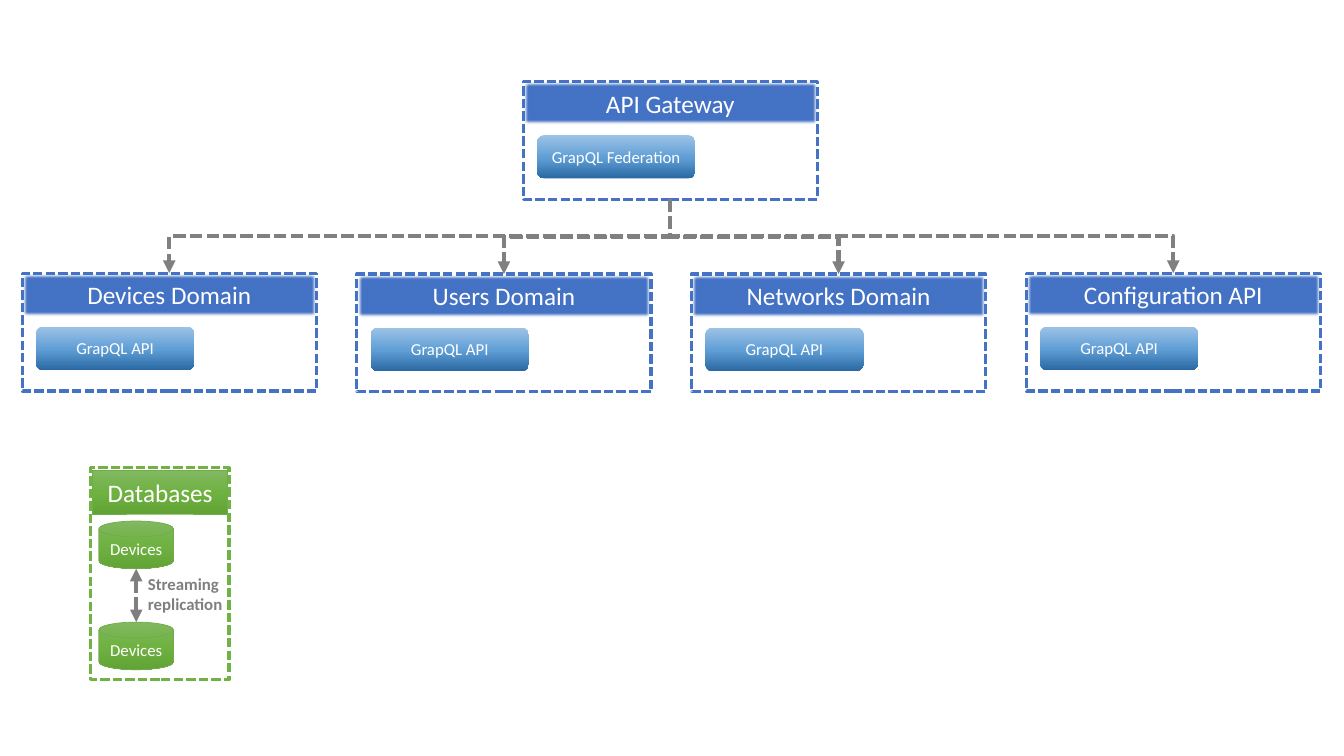
from copy import deepcopy

from lxml.etree import SubElement
from pptx import Presentation
from pptx.dml.color import RGBColor
from pptx.enum.dml import MSO_LINE
from pptx.enum.shapes import MSO_CONNECTOR, MSO_SHAPE
from pptx.enum.text import MSO_ANCHOR, PP_ALIGN
from pptx.oxml.ns import qn
from pptx.util import Pt

FONT = "Calibri"
WHITE = RGBColor(0xFF, 0xFF, 0xFF)
BLUE = RGBColor(0x44, 0x72, 0xC4)
DARK_BLUE = RGBColor(0x32, 0x54, 0x91)
GREEN = RGBColor(0x70, 0xB2, 0x43)
GREEN_EDGE = RGBColor(0x70, 0xAD, 0x47)
GREY = RGBColor(0x80, 0x80, 0x80)
TEXT_GREY = RGBColor(0x7F, 0x7F, 0x7F)
BLUE_FADE = [(0, RGBColor(0x9D, 0xC3, 0xE6)), (0.52, RGBColor(0x60, 0x9E, 0xD6)),
             (1, RGBColor(0x2A, 0x69, 0xA2))]
GREEN_FADE = [(0, RGBColor(0x81, 0xB8, 0x61)), (0.5, RGBColor(0x6F, 0xB2, 0x42)),
              (1, RGBColor(0x62, 0xA3, 0x36))]

SERVICE_W, SERVICE_H = 210.2, 84.2
GATEWAY_LEFT, GATEWAY_TOP = 373.7, 58.3
DOMAIN_LEFT, DOMAIN_STEP = 15.8, 239.05
DOMAINS = [("Devices Domain", 195.1), ("Users Domain", 195.8),
           ("Networks Domain", 195.8), ("Configuration API", 195.1)]


def add_block(slide, kind, x, y, w, h, fill=None, edge=None, edge_width=1):
    """Add a preset shape with a plain, faded or empty fill."""
    sp = slide.shapes.add_shape(kind, Pt(x), Pt(y), Pt(w), Pt(h))
    sp.shadow.inherit = False
    if fill is None:
        sp.fill.background()
    elif isinstance(fill, RGBColor):
        sp.fill.solid()
        sp.fill.fore_color.rgb = fill
    else:
        sp.fill.gradient()
        sp.fill.gradient_angle = 270
        stops = sp.element.spPr.find(".//" + qn("a:gsLst"))
        stops.append(deepcopy(stops[0]))
        for stop, (position, color) in zip(sp.fill.gradient_stops, fill):
            stop.position = position
            stop.color.rgb = color
    if edge is None:
        sp.line.fill.background()
    else:
        sp.line.color.rgb = edge
        sp.line.width = Pt(edge_width)
    return sp


def add_frame(slide, x, y, w, h, color):
    """Add a dashed, unfilled frame."""
    sp = add_block(slide, MSO_SHAPE.RECTANGLE, x, y, w, h, None, color, 2.25)
    sp.line.dash_style = MSO_LINE.SQUARE_DOT


def set_label(sp, text, size):
    """Centre a white label in a shape."""
    tf = sp.text_frame
    tf.word_wrap = True
    tf.vertical_anchor = MSO_ANCHOR.MIDDLE
    p = tf.paragraphs[0]
    p.text = text
    p.alignment = PP_ALIGN.CENTER
    p.font.name, p.font.size, p.font.color.rgb = FONT, Pt(size), WHITE


def add_arrow(slide, kind, x1, y1, x2, y2, color, ends):
    """Add a dashed grey connector with arrowheads at the named ends."""
    cxn = slide.shapes.add_connector(kind, Pt(x1), Pt(y1), Pt(x2), Pt(y2))
    cxn.line.color.rgb = color
    cxn.line.width = Pt(3)
    cxn.line.dash_style = MSO_LINE.SQUARE_DOT
    spPr = cxn.element.spPr
    for end in ends:
        SubElement(spPr.find(qn("a:ln")), qn(end), type="triangle")
    SubElement(spPr, qn("a:effectLst"))
    return cxn


def add_branch(slide, x1, y1, x2, y2):
    """Add an elbow arrow that leaves downwards and arrives downwards."""
    cx, cy = (x1 + x2) / 2, (y1 + y2) / 2
    side = 1 if x2 > x1 else -1
    half_w, half_h = side * (y2 - y1) / 2, abs(x2 - x1) / 2
    cxn = add_arrow(slide, MSO_CONNECTOR.ELBOW, cx + half_w, cy - half_h,
                    cx - half_w, cy + half_h, GREY, ["a:tailEnd"])
    degrees = 270 if side > 0 else 90
    cxn.element.spPr.find(qn("a:xfrm")).set("rot", str(degrees * 60000))


def add_service(slide, x, y, title, api):
    """Draw a service box with its soft-edged header and API chip."""
    header = add_block(slide, MSO_SHAPE.RECTANGLE, x, y, SERVICE_W, 31, BLUE, DARK_BLUE)
    effects = header.element.spPr.find(qn("a:effectLst"))
    SubElement(effects, qn("a:softEdge"), rad=str(Pt(2.5)))
    set_label(header, title, 18)
    add_frame(slide, x, y, SERVICE_W, SERVICE_H, BLUE)
    chip = add_block(slide, MSO_SHAPE.ROUNDED_RECTANGLE, x + 10, y + 38.2, 113, 31, BLUE_FADE)
    set_label(chip, api, 12)


def add_databases(slide, x, y, w, h):
    """Draw the database box with two replicated disks."""
    add_frame(slide, x, y, w, h, GREEN)
    header = add_block(slide, MSO_SHAPE.RECTANGLE, x + 1.4, y + 2, w - 2.4, 31,
                       GREEN_FADE, GREEN_EDGE, 0.5)
    set_label(header, "Databases", 18)
    disk_w, disk_h, first, second = 53.4, 34, y + 38, y + 110.2
    for top in (first, second):
        disk = add_block(slide, MSO_SHAPE.FLOWCHART_MAGNETIC_DISK, x + 5.8, top,
                         disk_w, disk_h, GREEN_FADE, GREEN_EDGE, 0.5)
        set_label(disk, "Devices", 12)
    middle = x + 5.8 + disk_w / 2
    add_arrow(slide, MSO_CONNECTOR.STRAIGHT, middle, first + disk_h, middle, second,
              TEXT_GREY, ["a:headEnd", "a:tailEnd"])
    note = slide.shapes.add_textbox(Pt(x + 33.8), Pt(y + 72), Pt(68.4), Pt(36))
    tf = note.text_frame
    tf.word_wrap = False
    tf.text = "Streaming\nreplication"
    for p in tf.paragraphs:
        p.font.name, p.font.size, p.font.bold = FONT, Pt(12), True
        p.font.color.rgb = TEXT_GREY


def main():
    """Build the architecture slide and save it."""
    prs = Presentation()
    prs.slide_width, prs.slide_height = Pt(960), Pt(540)
    slide = prs.slides.add_slide(prs.slide_layouts[6])
    add_service(slide, GATEWAY_LEFT, GATEWAY_TOP, "API Gateway", "GrapQL Federation")
    for i, (title, top) in enumerate(DOMAINS):
        left = DOMAIN_LEFT + i * DOMAIN_STEP
        add_service(slide, left, top, title, "GrapQL API")
        add_branch(slide, GATEWAY_LEFT + SERVICE_W / 2, GATEWAY_TOP + SERVICE_H,
                   left + SERVICE_W / 2, top)
    add_databases(slide, 64.8, 334.2, 98.8, 151.4)
    prs.save("out.pptx")


if __name__ == "__main__":
    main()
